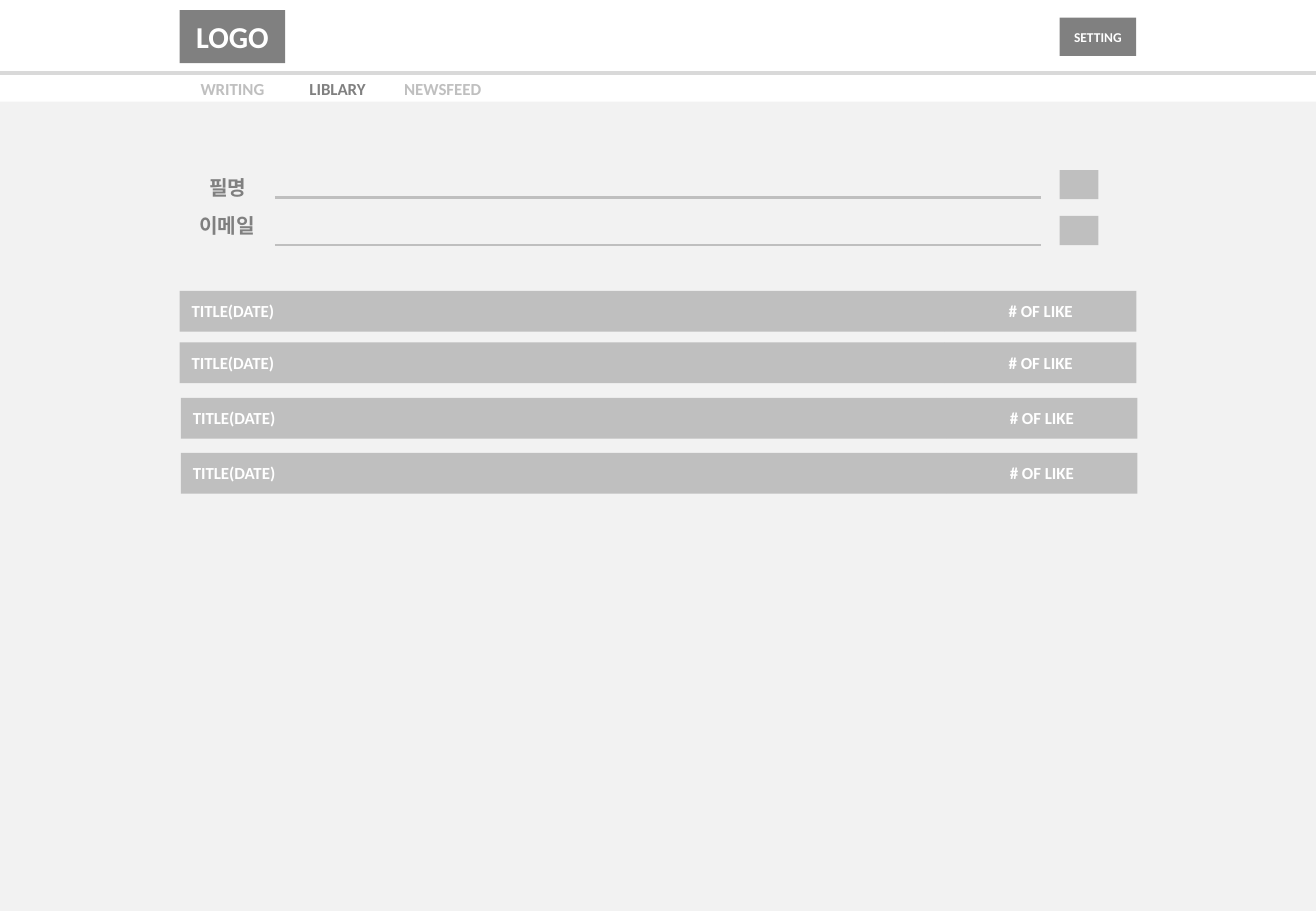
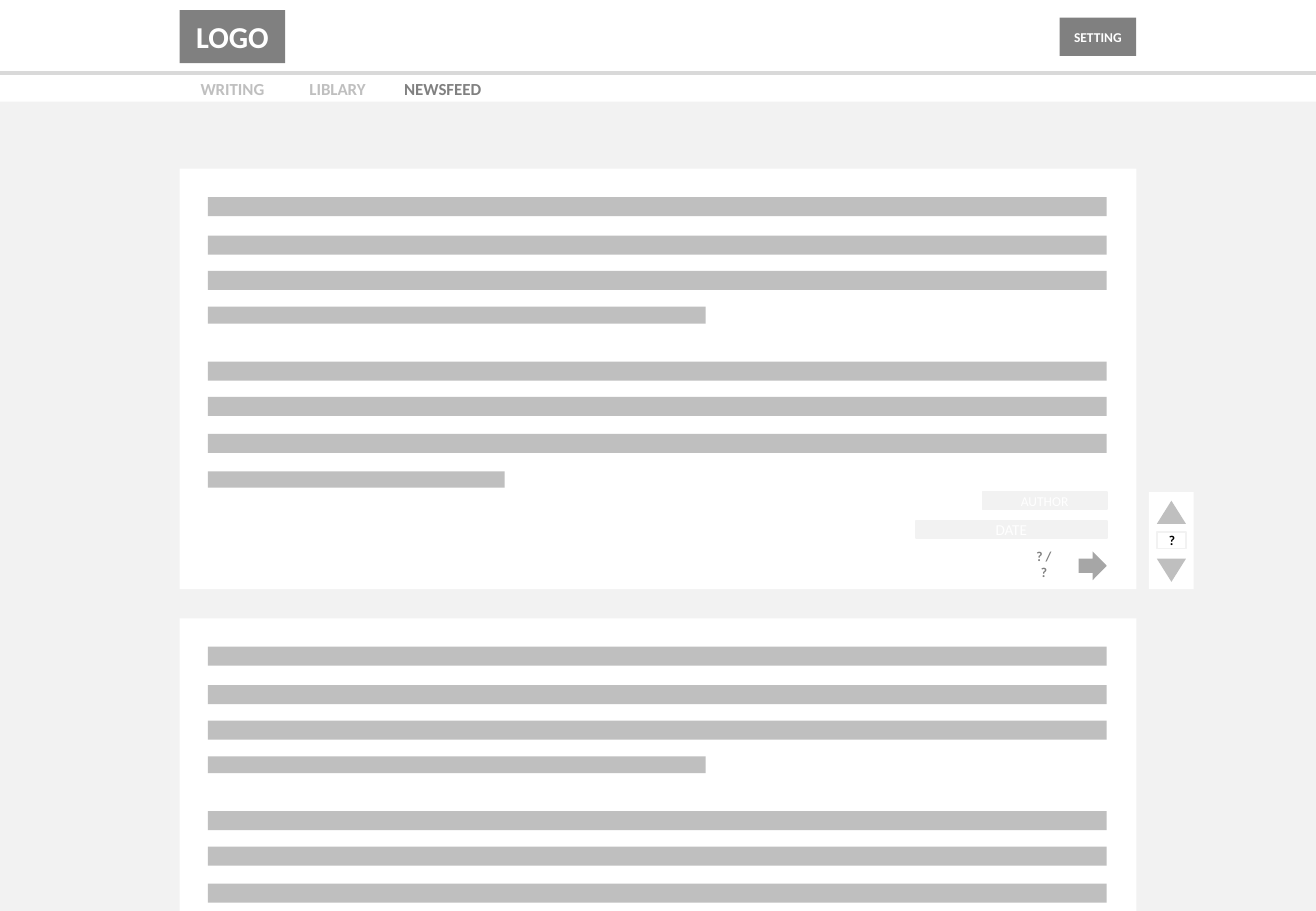
import pptx
import pptx.dml.color
import pptx.enum.shapes
import pptx.enum.text
import pptx.oxml.ns
import pptx.util
from lxml import etree

Pt = pptx.util.Pt
RGBColor = pptx.dml.color.RGBColor
SHAPE = pptx.enum.shapes.MSO_SHAPE
ALIGN = pptx.enum.text.PP_ALIGN

WHITE = RGBColor(0xFF, 0xFF, 0xFF)
PALE = RGBColor(0xF2, 0xF2, 0xF2)
RULE = RGBColor(0xD9, 0xD9, 0xD9)
LIGHT = RGBColor(0xBF, 0xBF, 0xBF)
MID = RGBColor(0xA6, 0xA6, 0xA6)
DARK = RGBColor(0x80, 0x80, 0x80)
BLACK = RGBColor(0, 0, 0)

FONT = "Calibri"
WIDTH, HEIGHT = 780, 540
LEFT = 106.5
CONTENT_WIDTH = 567
BUTTON_LEFT = 628
CARD_TOP, CARD_HEIGHT, CARD_PITCH = 100, 249.2, 266.5
BAR_LEFT, BAR_WIDTH, BAR_HEIGHT = 123.2, 532.8, 11.3
NAV_ITEMS = ["WRITING", "LIBLARY", "NEWSFEED"]
NAV_PITCH = 62.3

CARD_BARS = [
    (16.8, BAR_WIDTH, BAR_HEIGHT),
    (39.6, BAR_WIDTH, BAR_HEIGHT),
    (60.6, BAR_WIDTH, BAR_HEIGHT),
    (81.8, 295, 10),
    (114.3, BAR_WIDTH, BAR_HEIGHT),
    (135.3, BAR_WIDTH, BAR_HEIGHT),
    (157.2, BAR_WIDTH, BAR_HEIGHT),
    (179.4, 176, 9.6),
]
FIELDS = [
    ("필명", LEFT, 100, 117.2, 100.8),
    ("이메일", 106, 122.4, 145.2, 128),
]
ROWS = [(LEFT, 172.4), (LEFT, 203), (107.2, 235.8), (107.2, 268.4)]


def write(shape, text, size, color, bold=True, align=ALIGN.CENTER):
    frame = shape.text_frame
    frame.word_wrap = True
    frame.vertical_anchor = pptx.enum.text.MSO_ANCHOR.MIDDLE
    paragraph = frame.paragraphs[0]
    paragraph.alignment = align
    run = paragraph.add_run()
    run.text = text
    run.font.color.rgb = color
    formats = {"name": FONT, "size": Pt(size), "bold": bold}
    for name, value in formats.items():
        setattr(run.font, name, value)


def add_block(slide, box, fill=None, outline=None, kind=SHAPE.RECTANGLE):
    shape = slide.shapes.add_shape(kind, *map(Pt, box))
    shape.shadow.inherit = False
    if fill is None:
        shape.fill.background()
    else:
        shape.fill.solid()
        shape.fill.fore_color.rgb = fill
    if outline is None:
        shape.line.fill.background()
    else:
        shape.line.color.rgb = outline
        shape.line.width = Pt(1)
    return shape


def add_label(slide, box, text, size, color):
    write(slide.shapes.add_textbox(*map(Pt, box)), text, size, color)


def add_rule(slide, left, right, top, color, width):
    straight = pptx.enum.shapes.MSO_CONNECTOR.STRAIGHT
    connector = slide.shapes.add_connector(
        straight, Pt(left), Pt(top), Pt(right), Pt(top))
    connector.line.color.rgb = color
    connector.line.width = Pt(width)
    properties = connector._element.spPr
    etree.SubElement(properties, pptx.oxml.ns.qn("a:effectLst"))


def add_page(presentation, active):
    slide = presentation.slides.add_slide(presentation.slide_layouts[6])
    add_rule(slide, 0, WIDTH, 43.2, RULE, 2)
    write(add_block(slide, (LEFT, 6, 62.5, 31.5), DARK), "LOGO", 18, WHITE)
    for index, item in enumerate(NAV_ITEMS):
        color = DARK if item == active else LIGHT
        box = (LEFT + index * NAV_PITCH, 44.7, 62.5, 16)
        add_label(slide, box, item, 10, color)
    setting = add_block(slide, (BUTTON_LEFT, 10.4, 45.5, 22.7), DARK)
    write(setting, "SETTING", 8, WHITE)
    add_block(slide, (0, 60.2, WIDTH, HEIGHT - 60.2), PALE)
    return slide


def add_field(slide, text, left, top, rule_top, button_top):
    add_label(slide, (left, top, 57, 22.4), text, 12, DARK)
    add_rule(slide, 163, 617, rule_top, LIGHT, 1.5)
    add_block(slide, (BUTTON_LEFT, button_top, 23, 17.3), LIGHT)


def add_row(slide, left, top):
    title = add_block(slide, (left, top, 453.6, 24.2), LIGHT)
    write(title, "TITLE(DATE)", 10, WHITE, align=ALIGN.LEFT)
    likes = add_block(slide, (left + 453.6, top, 113.4, 24.2), LIGHT)
    write(likes, "# OF LIKE", 10, WHITE)


def add_card(slide, top, bars):
    add_block(slide, (LEFT, top, CONTENT_WIDTH, CARD_HEIGHT), WHITE)
    for offset, width, height in bars:
        add_block(slide, (BAR_LEFT, top + offset, width, height), LIGHT)


def add_byline(slide):
    right = BAR_LEFT + BAR_WIDTH
    for text, top, width, size in [("AUTHOR", 291.6, 73.6, 8),
                                   ("DATE", 308.7, 113.2, 9)]:
        box = (right - width, top, width, 10.3)
        write(add_block(slide, box, PALE, PALE), text, size, WHITE, bold=False)
    add_block(slide, (right - 16.7, 326.9, 16.7, 17), MID,
              kind=SHAPE.RIGHT_ARROW)
    add_label(slide, (605.5, 329.8, 26.6, 9.4), "? / ?", 8, DARK)


def add_vote_panel(slide):
    add_block(slide, (681, 291.7, 26.6, 57.5), WHITE)
    for top, rotation in [(296.8, 0), (331.2, 180)]:
        triangle = add_block(slide, (685.7, top, 17.2, 13.7), LIGHT,
                             kind=SHAPE.ISOSCELES_TRIANGLE)
        triangle.rotation = rotation
    counter = add_block(slide, (685.7, 315.2, 17.2, 10), outline=PALE)
    write(counter, "?", 8, BLACK)


def build_library(presentation):
    slide = add_page(presentation, "LIBLARY")
    for field in FIELDS:
        add_field(slide, *field)
    for left, top in ROWS:
        add_row(slide, left, top)


def build_newsfeed(presentation):
    slide = add_page(presentation, "NEWSFEED")
    add_card(slide, CARD_TOP, CARD_BARS)
    add_byline(slide)
    add_vote_panel(slide)
    add_card(slide, CARD_TOP + CARD_PITCH, CARD_BARS[:-1])


def main():
    presentation = pptx.Presentation()
    presentation.slide_width = Pt(WIDTH)
    presentation.slide_height = Pt(HEIGHT)
    build_library(presentation)
    build_newsfeed(presentation)
    presentation.save("out.pptx")


if __name__ == "__main__":
    main()
